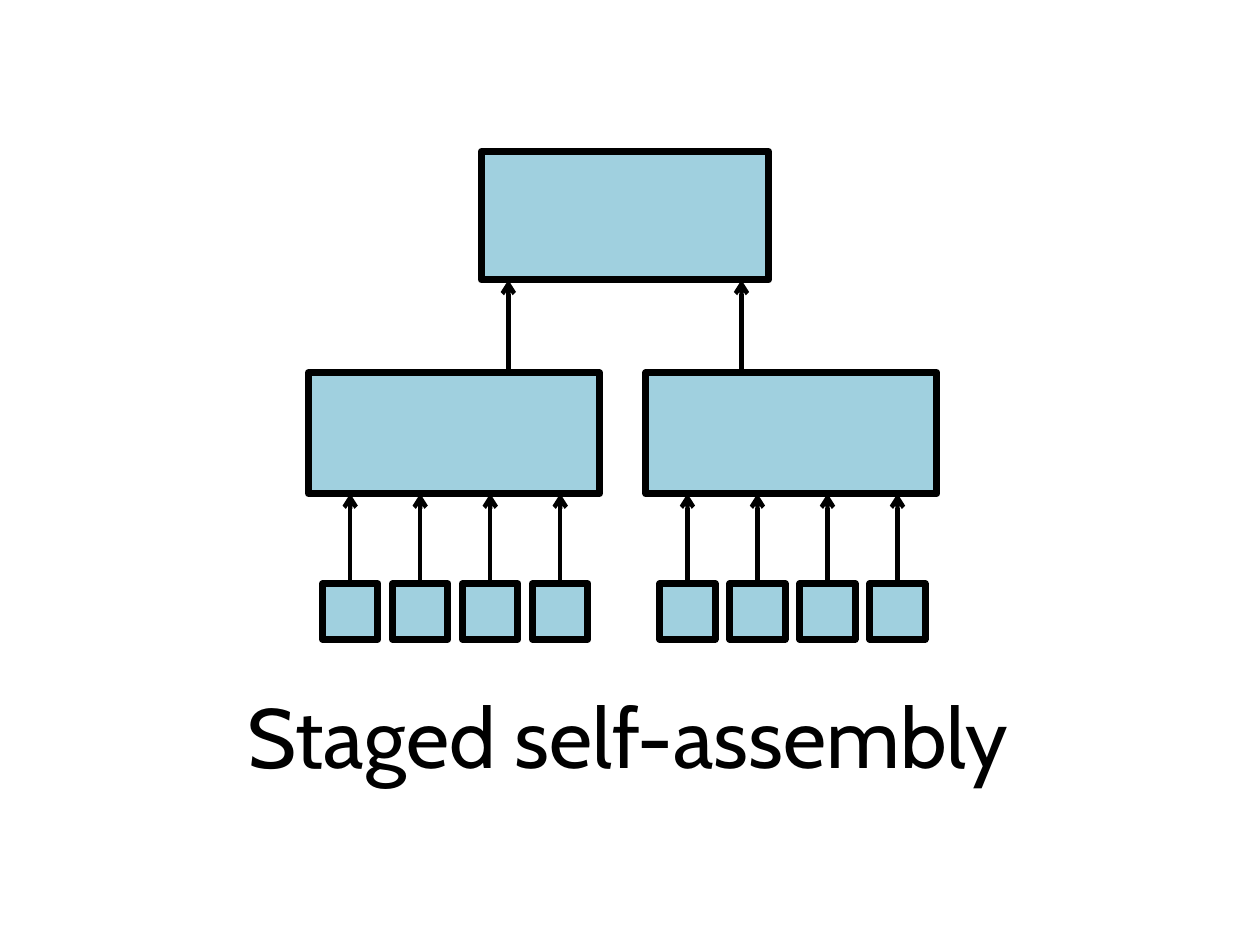
from lxml import etree
from pptx import Presentation
from pptx.dml.color import RGBColor
from pptx.enum.shapes import MSO_CONNECTOR, MSO_SHAPE
from pptx.enum.text import MSO_ANCHOR, MSO_AUTO_SIZE, PP_ALIGN
from pptx.oxml.ns import qn
from pptx.util import Pt

RECTANGLE = MSO_SHAPE.RECTANGLE
STRAIGHT = MSO_CONNECTOR.STRAIGHT
CENTER = PP_ALIGN.CENTER
TOP = MSO_ANCHOR.TOP
FIT_SHAPE = MSO_AUTO_SIZE.SHAPE_TO_FIT_TEXT

BLACK = RGBColor(0x00, 0x00, 0x00)
BLUE = RGBColor(0xA0, 0xD0, 0xDF)
FONT = "Cabin"

TILE = 31.7          # side of a small square
TILE_PITCH = 40      # distance between neighbouring squares
TILE_COUNT = 4
TILE_INSET = 8       # first square, from the left of its assembly
STAGE_INSET = 15.5   # upper arrows, from the sides of the final assembly


def add_block(slide, left, top, width, height):
    sp = slide.shapes.add_shape(RECTANGLE, Pt(left), Pt(top), Pt(width), Pt(height))
    sp.shadow.inherit = False
    sp.fill.solid()
    sp.fill.fore_color.rgb = BLUE
    sp.line.color.rgb = BLACK
    sp.line.width = Pt(4)
    etree.SubElement(sp.line._get_or_add_ln(), qn("a:round"))
    return sp


def add_arrow(slide, x, y_from, y_to):
    line = slide.shapes.add_connector(STRAIGHT, Pt(x), Pt(y_from), Pt(x), Pt(y_to))
    line.line.color.rgb = BLACK
    line.line.width = Pt(2.5)
    etree.SubElement(line.line._get_or_add_ln(), qn("a:tailEnd"), type="arrow")
    etree.SubElement(line._element.spPr, qn("a:effectLst"))
    return line


def add_caption(slide, left, top, width, height):
    title = slide.shapes.title
    title.left, title.top = Pt(left), Pt(top)
    title.width, title.height = Pt(width), Pt(height)
    tf = title.text_frame
    tf.word_wrap = True
    tf.auto_size = FIT_SHAPE
    tf.vertical_anchor = TOP
    p = tf.paragraphs[0]
    p.alignment = CENTER
    r = p.add_run()
    r.text = "Staged self-assembly"
    r.font.name = FONT
    r.font.size = Pt(48)
    r.font.color.rgb = BLACK


def add_assembly(slide, left, top, width, height):
    """An intermediate block with the row of squares that feeds it."""
    add_block(slide, left, top, width, height)
    bottom = top + height
    tile_top = bottom + 51.5
    for i in range(TILE_COUNT):
        x = left + TILE_INSET + i * TILE_PITCH
        tile = add_block(slide, x, tile_top, TILE, TILE)
        arrow = add_arrow(slide, x + TILE / 2, tile_top, bottom)
        arrow.begin_connect(tile, 0)


def add_final_stage(slide, left, top, width, height, stage_top):
    """The final block with the arrows that rise from the stage below."""
    add_block(slide, left, top, width, height)
    for x in (left + STAGE_INSET, left + width - STAGE_INSET):
        add_arrow(slide, x, stage_top, top + height)


def main():
    prs = Presentation()
    prs.slide_width, prs.slide_height = Pt(720), Pt(540)
    slide = prs.slides.add_slide(prs.slide_layouts[5])

    add_caption(slide, 9.4, 387.4, 699, 65.5)

    # Two intermediate assemblies, then the final one above them
    stage_top = 213
    for left in (176.3, 369):
        add_assembly(slide, left, stage_top, 166.3, 69.1)
    add_final_stage(slide, 275, 86.6, 164.2, 73.4, stage_top)

    prs.save("out.pptx")


if __name__ == "__main__":
    main()
